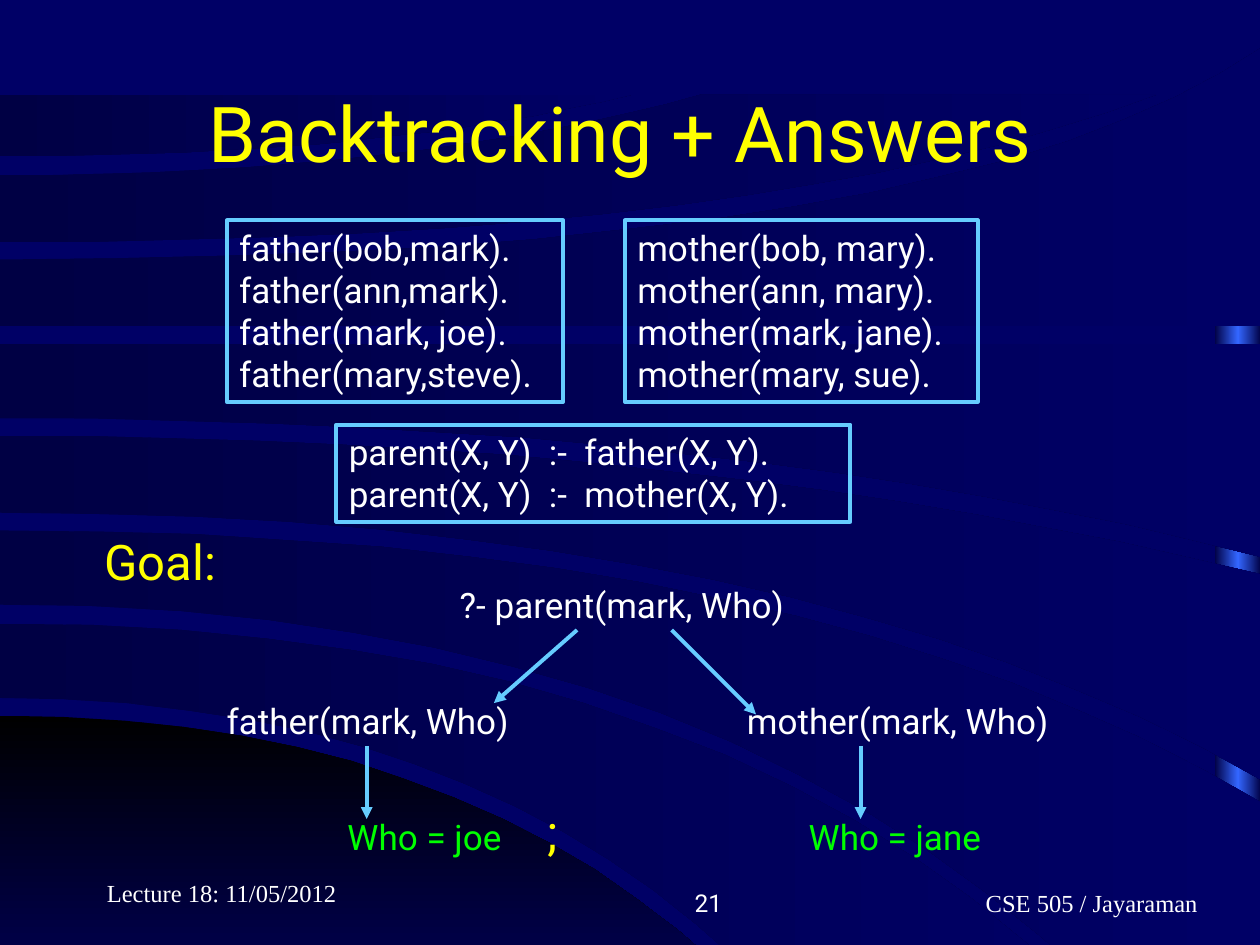
from copy import deepcopy
from dataclasses import dataclass

from pptx import Presentation
from pptx import util as u
from pptx.dml.color import RGBColor
from pptx.enum import shapes, text
from pptx.oxml import parse_xml
from pptx.oxml.ns import nsdecls, qn

PX = 9144  # EMU per px, at 100 px to the inch
STEPS = 16  # line segments in each curved edge


@dataclass(frozen=True)
class Theme:
    sans: str = "Roboto"
    serif: str = "Times New Roman"
    navy: str = "000066"
    dark: str = "000044"
    black: str = "000000"
    glow: str = "3366FF"
    sky: str = "66CCFF"
    yellow: str = "FFFF00"
    white: str = "FFFFFF"
    green: str = "00FF00"
    title: int = 44
    heading: int = 28
    body: int = 20
    footer: int = 14
    stroke: float = 2.25


THEME = Theme()
LEFT, CENTER, RIGHT = text.PP_ALIGN.LEFT, text.PP_ALIGN.CENTER, text.PP_ALIGN.RIGHT


def paint_gradient(shape, colors, angle=0):
    """Spread the colours evenly over an unlined shape; angle runs counter-clockwise."""
    shape.shadow.inherit = False
    shape.line.fill.background()
    shape.fill.gradient()
    shape.fill.gradient_angle = angle
    stop_list = shape.element.spPr.find(qn("a:gradFill")).find(qn("a:gsLst"))
    for _ in colors[2:]:
        stop_list.append(deepcopy(stop_list[-1]))
    for index, (stop, color) in enumerate(zip(shape.fill.gradient_stops, colors)):
        stop.color.rgb = RGBColor.from_string(color)
        stop.position = index / (len(colors) - 1)


def write(box, lines, size, color, font=THEME.sans, align=LEFT, anchor=text.MSO_ANCHOR.TOP):
    frame = box.text_frame
    frame.word_wrap = True
    frame.vertical_anchor = anchor
    frame.text = "\n".join(lines)
    for para in frame.paragraphs:
        para.alignment = align
        para.font.name = font
        para.font.size = u.Pt(size)
        para.font.color.rgb = RGBColor.from_string(color)


deck = Presentation()
deck.slide_width, deck.slide_height = 1000 * PX, 750 * PX
page = deck.slides.add_slide(deck.slide_layouts[5])
page.background.fill.solid()
page.background.fill.fore_color.rgb = RGBColor.from_string(THEME.navy)

# Backdrop: a glowing right edge, seen only between the curved bands
glow = page.shapes.add_shape(
    shapes.MSO_SHAPE.RECTANGLE, 964 * PX, 77 * PX, 37 * PX, 750 * PX)
paint_gradient(glow, [THEME.dark, THEME.glow, THEME.dark])

# Upper and lower edge of each band, as a quadratic curve that leaves the left
# side level: start y, bend x, end x, end y
dome = ((568, 406, 629, 827), (827, 300, 629, 827))
bands = [
    dome,
    ((495, 594, 894, 825), (554, 417, 643, 825)),
    ((421, 640, 1001, 637), (480, 595, 910, 825)),
    ((346, 556, 1001, 456), (407, 632, 1001, 619)),
    ((273, 500, 1001, 273), (332, 582, 1001, 442)),
    ((206, 760, 1001, 38), (259, 500, 1001, 259)),
    ((139, 326, 557, 75), (192, 613, 918, 75)),
    ((75, 250, 502, 75), (124, 305, 502, 75)),
]
for band in bands:
    upper, lower = [
        [(round(2 * t * (1 - t) * bend + t * t * end_x),
          round(start_y + t * t * (end_y - start_y)))
         for t in (step / STEPS for step in range(STEPS + 1))]
        for start_y, bend, end_x, end_y in band]
    corner = (max(upper[-1][0], lower[-1][0]), max(upper[-1][1], lower[-1][1]))
    builder = page.shapes.build_freeform(*upper[0], scale=PX)
    builder.add_line_segments(upper[1:] + [corner] + lower[::-1], close=True)
    shape = builder.convert_to_shape()
    if band is dome:
        paint_gradient(shape, [THEME.black, THEME.navy], 270)
    else:
        paint_gradient(shape, [THEME.dark, THEME.navy])

title = page.shapes.title
title.left, title.top, title.width, title.height = 75 * PX, 42 * PX, 850 * PX, 125 * PX
write(title, ["Backtracking + Answers "], THEME.title, THEME.yellow,
      align=CENTER, anchor=text.MSO_ANCHOR.MIDDLE)
title.element.getparent().append(title.element)  # in front of the backdrop

# Facts and rules
programs = [
    ((496, 175, 280, 144), ["mother(bob, mary).", "mother(ann, mary).",
                            "mother(mark, jane).", "mother(mary, sue)."]),
    ((180, 175, 267, 144), ["father(bob,mark).", "father(ann,mark).",
                            "father(mark, joe).", "father(mary,steve)."]),
    ((267, 337, 408, 77), ["parent(X, Y)  :-  father(X, Y).",
                           "parent(X, Y)  :-  mother(X, Y)."]),
]
for place, clauses in programs:
    box = page.shapes.add_shape(shapes.MSO_SHAPE.RECTANGLE, *(n * PX for n in place))
    box.shadow.inherit = False
    box.fill.background()
    box.line.color.rgb = RGBColor.from_string(THEME.sky)
    box.line.width = u.Pt(THEME.stroke)
    write(box, clauses, THEME.body, THEME.white)

# Search tree
labels = [
    ((73, 417, 114, 57), "Goal:", THEME.heading, THEME.yellow),
    ((355, 458, 295, 44), "?- parent(mark, Who)", THEME.body, THEME.white),
    ((170, 550, 259, 44), "father(mark, Who)", THEME.body, THEME.white),
    ((583, 550, 276, 44), "mother(mark, Who)", THEME.body, THEME.white),
    ((266, 642, 150, 44), "Who = joe", THEME.body, THEME.green),
    ((632, 642, 166, 44), "Who = jane", THEME.body, THEME.green),
    ((425, 631, 30, 57), ";", THEME.heading, THEME.yellow),
]
for place, label, size, color in labels:
    write(page.shapes.add_textbox(*(n * PX for n in place)), [label], size, color)

arrows = [(458, 500, 392, 558), (533, 500, 600, 567),
          (291, 592, 291, 650), (683, 592, 683, 650)]
for ends in arrows:
    arrow = page.shapes.add_connector(
        shapes.MSO_CONNECTOR.STRAIGHT, *(n * PX for n in ends))
    arrow.line.color.rgb = RGBColor.from_string(THEME.sky)
    arrow.line.width = u.Pt(THEME.stroke)
    outline = arrow.element.spPr.find(qn("a:ln"))
    outline.append(parse_xml(f'<a:tailEnd {nsdecls("a")} type="triangle"/>'))
    arrow.element.spPr.append(parse_xml(f'<a:effectLst {nsdecls("a")}/>'))

# Footer: place, left inset, text, font, alignment
footers = [
    ((75, 675, 208, 50), 10, "Lecture 18: 11/05/2012", THEME.serif, LEFT),
    ((375, 683, 208, 50), 10, "21", THEME.sans, RIGHT),
    ((658, 683, 317, 50), 110, "CSE 505 / Jayaraman", THEME.serif, CENTER),
]
for place, inset, label, font, align in footers:
    box = page.shapes.add_textbox(*(n * PX for n in place))
    box.text_frame.margin_left = inset * PX
    write(box, [label], THEME.footer, THEME.white, font, align, text.MSO_ANCHOR.BOTTOM)

deck.save("out.pptx")
